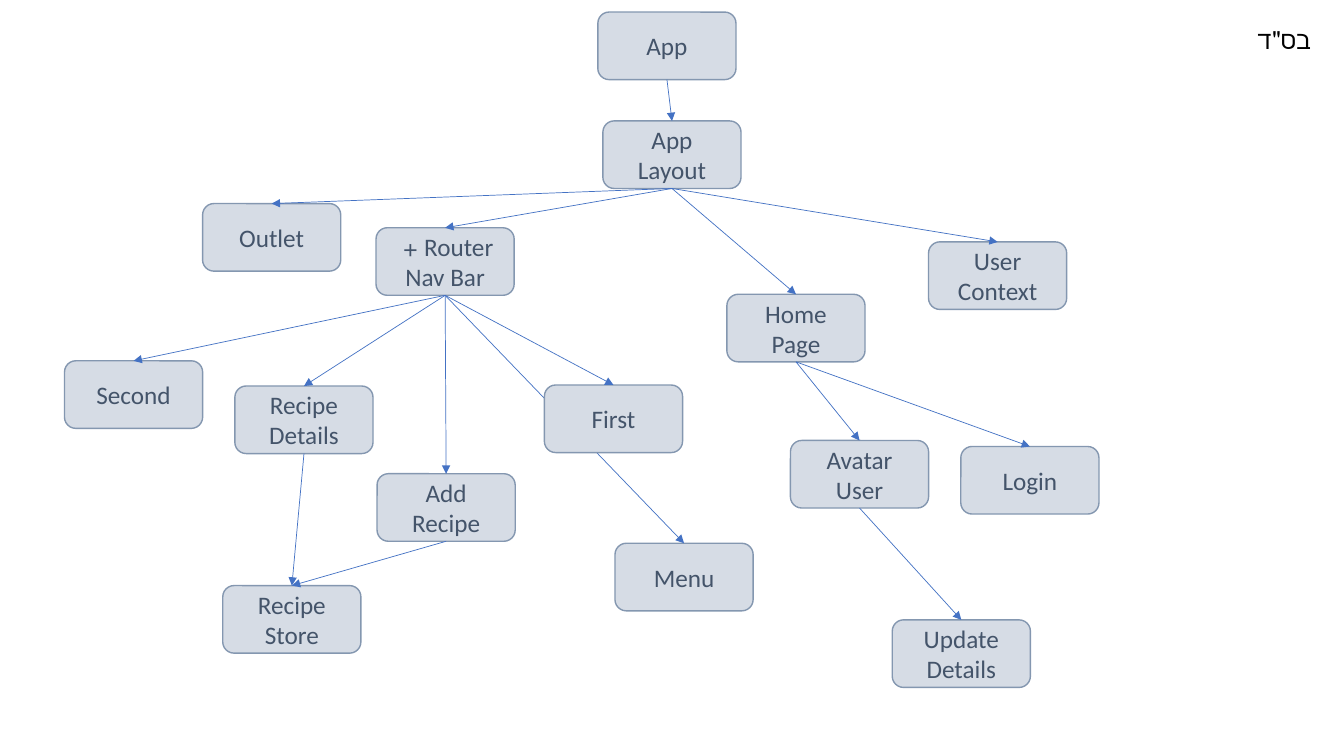
from dataclasses import dataclass

from lxml import etree
from pptx import Presentation
from pptx.dml.color import RGBColor
from pptx.enum.shapes import MSO_CONNECTOR, MSO_SHAPE
from pptx.enum.text import MSO_ANCHOR, MSO_AUTO_SIZE, PP_ALIGN
from pptx.oxml.ns import qn
from pptx.shapes.autoshape import Shape
from pptx.shapes.connector import Connector
from pptx.slide import Slide
from pptx.util import Inches, Pt

ROUNDED = MSO_SHAPE.ROUNDED_RECTANGLE
STRAIGHT = MSO_CONNECTOR.STRAIGHT
CENTER, RIGHT = PP_ALIGN.CENTER, PP_ALIGN.RIGHT
MIDDLE = MSO_ANCHOR.MIDDLE
FIT_TEXT = MSO_AUTO_SIZE.SHAPE_TO_FIT_TEXT
TOP_SITE, BOTTOM_SITE = 0, 2
BOX_WIDTH, BOX_HEIGHT = Inches(1.37), Inches(0.67)


@dataclass(frozen=True)
class Theme:
    font: str = "Calibri"
    text_size: float = 18
    box_line_width: float = 1
    arrow_width: float = 0.5
    heading: RGBColor = RGBColor(0x00, 0x00, 0x00)
    box_text: RGBColor = RGBColor(0x44, 0x54, 0x6A)
    box_fill: RGBColor = RGBColor(0xD6, 0xDC, 0xE5)
    box_line: RGBColor = RGBColor(0x84, 0x97, 0xB0)
    arrow: RGBColor = RGBColor(0x44, 0x72, 0xC4)


@dataclass(frozen=True)
class Component:
    label: str
    left: float
    top: float
    parents: tuple[str, ...] = ()


THEME = Theme()
NAV_BAR = "Router + \nNav Bar"

# Parents come before children; Menu comes before First, which covers its arrow
COMPONENTS = (
    Component("App", 5.93, 0.12),
    Component("App Layout", 5.98, 1.2, ("App",)),
    Component("Outlet", 2.01, 2.02, ("App Layout",)),
    Component(NAV_BAR, 3.73, 2.26, ("App Layout",)),
    Component("Home Page", 7.21, 2.92, ("App Layout",)),
    Component("User Context", 9.21, 2.4, ("App Layout",)),
    Component("Menu", 6.1, 5.39, (NAV_BAR,)),
    Component("Second", 0.64, 3.58, (NAV_BAR,)),
    Component("Recipe Details", 2.33, 3.83, (NAV_BAR,)),
    Component("Add Recipe", 3.74, 4.7, (NAV_BAR,)),
    Component("First", 5.4, 3.82, (NAV_BAR,)),
    Component("Avatar User", 7.84, 4.37, ("Home Page",)),
    Component("Login", 9.53, 4.43, ("Home Page",)),
    Component("Recipe Store", 2.21, 5.81, ("Recipe Details", "Add Recipe")),
    Component("Update Details", 8.85, 6.15, ("Avatar User",)),
)


def write_text(shape: Shape, text: str, color: RGBColor, alignment: PP_ALIGN) -> None:
    """Fill a shape with right-to-left paragraphs, one per line."""
    frame = shape.text_frame
    frame.word_wrap = True
    frame.text = text
    font_format = {"name": THEME.font, "size": Pt(THEME.text_size)}
    for paragraph in frame.paragraphs:
        paragraph.alignment = alignment
        paragraph._p.get_or_add_pPr().set("rtl", "1")
        for run in paragraph.runs:
            for name, value in font_format.items():
                setattr(run.font, name, value)
            run.font.color.rgb = color


def draw_heading(slide: Slide) -> None:
    heading = slide.shapes.add_textbox(
        Inches(12.27), Inches(0.19), Inches(0.83), Inches(0.42)
    )
    write_text(heading, 'בס"ד', THEME.heading, RIGHT)
    heading.text_frame.auto_size = FIT_TEXT


def draw_component(slide: Slide, component: Component) -> Shape:
    box = slide.shapes.add_shape(
        ROUNDED, Inches(component.left), Inches(component.top), BOX_WIDTH, BOX_HEIGHT
    )
    box.shadow.inherit = False
    box.fill.solid()
    box.fill.fore_color.rgb = THEME.box_fill
    box.line.color.rgb = THEME.box_line
    box.line.width = Pt(THEME.box_line_width)
    write_text(box, component.label, THEME.box_text, CENTER)
    box.text_frame.vertical_anchor = MIDDLE
    return box


def draw_arrow(slide: Slide, parent: Shape, child: Shape) -> Connector:
    """Join the bottom of the parent to the top of the child."""
    arrow = slide.shapes.add_connector(STRAIGHT, 0, 0, 0, 0)
    arrow.begin_connect(parent, BOTTOM_SITE)
    arrow.end_connect(child, TOP_SITE)
    arrow.line.color.rgb = THEME.arrow
    arrow.line.width = Pt(THEME.arrow_width)
    etree.SubElement(arrow.line._get_or_add_ln(), qn("a:tailEnd"), type="triangle")
    etree.SubElement(arrow._element.spPr, qn("a:effectLst"))
    return arrow


def main() -> None:
    presentation = Presentation()
    presentation.slide_width = Inches(13.33)
    presentation.slide_height = Inches(7.5)
    slide = presentation.slides.add_slide(presentation.slide_layouts[6])

    draw_heading(slide)

    # Component tree
    boxes: dict[str, Shape] = {}
    for component in COMPONENTS:
        box = draw_component(slide, component)
        boxes[component.label] = box
        for parent in component.parents:
            draw_arrow(slide, boxes[parent], box)

    presentation.save("out.pptx")


if __name__ == "__main__":
    main()
